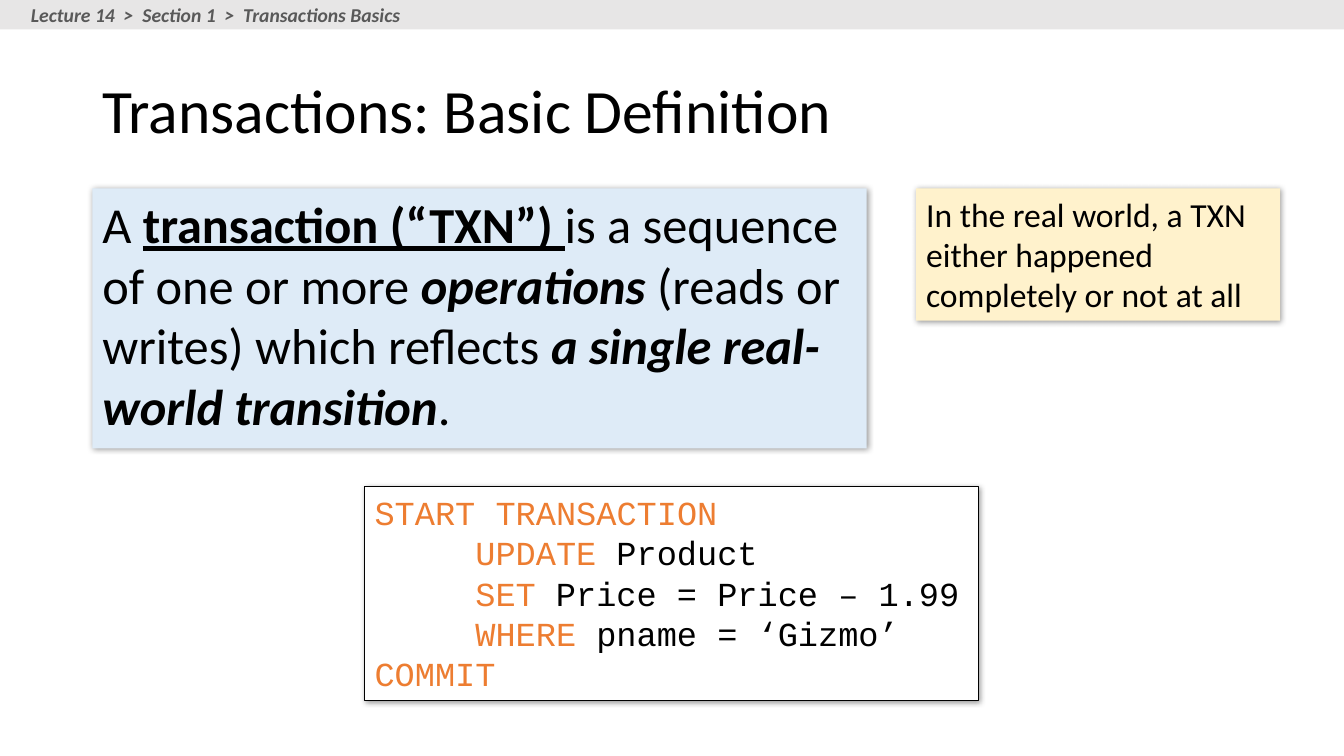
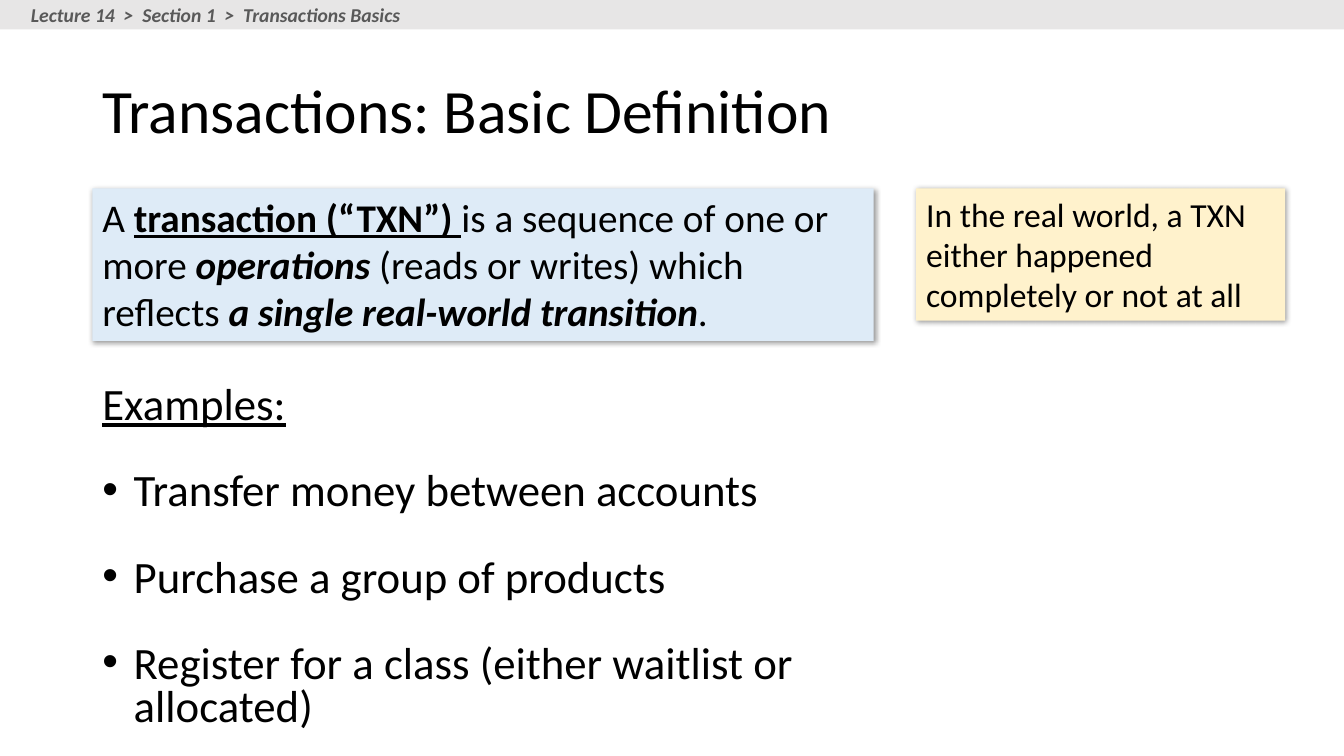
import lxml.etree
import pptx
import pptx.dml.color
import pptx.enum.shapes
import pptx.enum.text
import pptx.oxml.ns
import pptx.util
from pptx.util import Cm

SLIDE_WIDTH = Cm(33.87)
SLIDE_HEIGHT = Cm(19.05)
LEFT = Cm(2.33)
BOX_TOP = Cm(4.75)
NOTE_LEFT = Cm(23.09)

BODY_FONT = "Calibri"
CODE_FONT = "Courier New"

BLACK = "000000"
WHITE = "FFFFFF"
BAND_GREY = "E7E6E6"
BREADCRUMB_GREY = "595959"
DEFINITION_BLUE = "DEEBF7"
NOTE_YELLOW = "FFF2CC"
KEYWORD_ORANGE = "ED7D31"

TITLE = "Transactions: Basic Definition"
BREADCRUMB = "Lecture 14  >  Section 1  >  Transactions Basics"
NOTE = "In the real world, a TXN either happened completely or not at all"

# Each piece is a text and its style letters: b bold, i italic, u underlined.
DEFINITION = [
    ("A ", ""),
    ("transaction (“TXN”) ", "bu"),
    ("is a sequence of one or more ", ""),
    ("operations", "bi"),
    (" (reads or writes) which reflects ", ""),
    ("a single real-world transition", "bi"),
    (".", ""),
]

# Each line is a keyword, the rest of the statement, and whether it is indented.
CODE = [
    ("START TRANSACTION", "", False),
    ("UPDATE", " Product", True),
    ("SET", " Price = Price – 1.99", True),
    ("WHERE", " pname = ‘Gizmo’", True),
    ("COMMIT", "", False),
]

EXAMPLES = [
    "Transfer money between accounts",
    "Purchase a group of products",
    "Register for a class (either waitlist or allocated)",
]


def rgb(hex_color):
    return pptx.dml.color.RGBColor.from_string(hex_color)


def add_run(paragraph, text, size, color=BLACK, style="", font=BODY_FONT):
    run = paragraph.add_run()
    run.text = text
    run.font.name = font
    run.font.size = pptx.util.Pt(size)
    run.font.color.rgb = rgb(color)
    run.font.bold = "b" in style
    run.font.italic = "i" in style
    run.font.underline = "u" in style


def next_paragraph(text_frame, index):
    """Return the first paragraph for index 0, otherwise a new one."""
    return text_frame.add_paragraph() if index else text_frame.paragraphs[0]


def indent(paragraph, margin, first_line=0):
    properties = paragraph._p.get_or_add_pPr()
    properties.set("marL", str(int(margin)))
    properties.set("indent", str(int(first_line)))
    return properties


def add_bullet(paragraph):
    properties = indent(paragraph, Cm(0.79), -Cm(0.79))
    bullet_font = lxml.etree.SubElement(properties, pptx.oxml.ns.qn("a:buFont"))
    bullet_font.set("typeface", "Arial")
    bullet = lxml.etree.SubElement(properties, pptx.oxml.ns.qn("a:buChar"))
    bullet.set("char", "•")


def add_shadow(shape):
    effects = shape._element.spPr.find(pptx.oxml.ns.qn("a:effectLst"))
    shadow = lxml.etree.SubElement(effects, pptx.oxml.ns.qn("a:outerShdw"))
    shadow.set("blurRad", str(pptx.util.Pt(4)))
    shadow.set("dist", str(pptx.util.Pt(1)))
    shadow.set("dir", str(45 * 60000))
    shadow.set("algn", "tl")
    shadow.set("rotWithShape", "0")
    color = lxml.etree.SubElement(shadow, pptx.oxml.ns.qn("a:srgbClr"))
    color.set("val", BLACK)
    alpha = lxml.etree.SubElement(color, pptx.oxml.ns.qn("a:alpha"))
    alpha.set("val", "40000")


def add_rectangle(slide, left, top, width, height, fill, line=None):
    shape = slide.shapes.add_shape(
        pptx.enum.shapes.MSO_SHAPE.RECTANGLE, left, top, width, height)
    shape.shadow.inherit = False
    shape.fill.solid()
    shape.fill.fore_color.rgb = rgb(fill)
    if line:
        shape.line.color.rgb = rgb(line)
        shape.line.width = pptx.util.Pt(0.75)
    else:
        shape.line.fill.background()
    return shape


def add_panel(slide, left, top, width, height, fill, line=None):
    """Add a shadowed box for left-aligned text and return its text frame."""
    panel = add_rectangle(slide, left, top, width, height, fill, line)
    add_shadow(panel)
    text_frame = panel.text_frame
    text_frame.word_wrap = True
    text_frame.vertical_anchor = pptx.enum.text.MSO_ANCHOR.TOP
    text_frame.paragraphs[0].alignment = pptx.enum.text.PP_ALIGN.LEFT
    return text_frame


def add_header(slide):
    add_rectangle(slide, 0, 0, SLIDE_WIDTH, Cm(0.74), BAND_GREY)
    breadcrumb = slide.shapes.add_textbox(Cm(0.53), Cm(-0.05), Cm(9.86), Cm(0.86))
    add_run(breadcrumb.text_frame.paragraphs[0], BREADCRUMB, 14, BREADCRUMB_GREY, "bi")


def add_title(slide):
    title = slide.shapes.title
    title.left, title.top = LEFT, Cm(1.02)
    title.width, title.height = Cm(29.21), Cm(3.68)
    title.text_frame.vertical_anchor = pptx.enum.text.MSO_ANCHOR.MIDDLE
    paragraph = title.text_frame.paragraphs[0]
    paragraph.alignment = pptx.enum.text.PP_ALIGN.LEFT
    paragraph.line_spacing = 0.9
    add_run(paragraph, TITLE, 44)


def add_definition(slide, width, height, size):
    text_frame = add_panel(slide, LEFT, BOX_TOP, width, height, DEFINITION_BLUE)
    for text, style in DEFINITION:
        add_run(text_frame.paragraphs[0], text, size, style=style)


def add_note(slide, width):
    text_frame = add_panel(slide, NOTE_LEFT, BOX_TOP, width, Cm(3.33), NOTE_YELLOW)
    add_run(text_frame.paragraphs[0], NOTE, 24)


def add_code(slide):
    text_frame = add_panel(
        slide, Cm(9.19), Cm(12.27), Cm(15.47), Cm(5.38), WHITE, BLACK)
    for index, (keyword, rest, indented) in enumerate(CODE):
        paragraph = next_paragraph(text_frame, index)
        paragraph.alignment = pptx.enum.text.PP_ALIGN.LEFT
        if indented:
            indent(paragraph, Cm(2.54))
        add_run(paragraph, keyword, 24, KEYWORD_ORANGE, font=CODE_FONT)
        if rest:
            add_run(paragraph, rest, 24, font=CODE_FONT)


def add_examples(slide):
    text_box = slide.shapes.add_textbox(LEFT, Cm(9.6), Cm(21.28), Cm(9.02))
    text_frame = text_box.text_frame
    text_frame.word_wrap = True
    for index, text in enumerate(["Examples:"] + EXAMPLES):
        paragraph = next_paragraph(text_frame, index)
        paragraph.line_spacing = 0.8
        if index:
            paragraph.space_before = pptx.util.Pt(31)
            add_bullet(paragraph)
        add_run(paragraph, text, 32, style="" if index else "u")


def add_transaction_slide(presentation, definition_size, definition_width,
                          definition_height, note_width):
    """Add a slide with the header, title, definition and note."""
    slide = presentation.slides.add_slide(presentation.slide_layouts[5])
    add_header(slide)
    add_title(slide)
    add_definition(slide, definition_width, definition_height, definition_size)
    add_note(slide, note_width)
    return slide


def main():
    presentation = pptx.Presentation()
    presentation.slide_width = SLIDE_WIDTH
    presentation.slide_height = SLIDE_HEIGHT

    code_slide = add_transaction_slide(
        presentation, 36, Cm(19.51), Cm(6.55), Cm(9.17))
    add_code(code_slide)

    examples_slide = add_transaction_slide(
        presentation, 28, Cm(19.69), Cm(3.84), Cm(9.3))
    add_examples(examples_slide)

    presentation.save("out.pptx")


if __name__ == "__main__":
    main()
